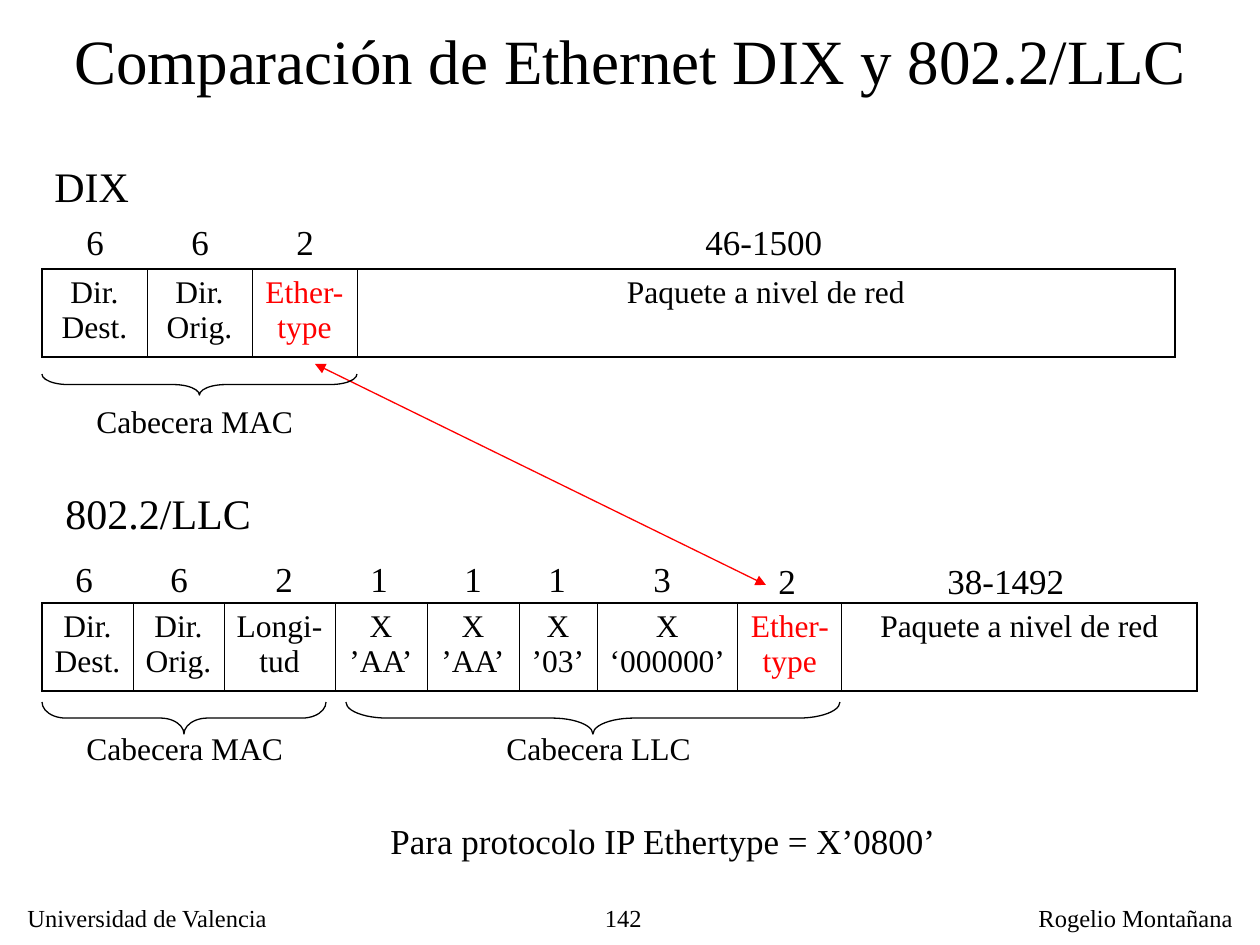
from pptx import Presentation
from pptx.dml.color import RGBColor
from pptx.enum.shapes import MSO_CONNECTOR, MSO_SHAPE
from pptx.enum.text import MSO_ANCHOR, MSO_AUTO_SIZE, PP_ALIGN
from pptx.oxml import parse_xml
from pptx.oxml.ns import nsdecls
from pptx.util import Emu, Pt

BLACK, RED = "000000", "FF0000"
FONT = "Times New Roman"
LEFT, TALL = 42, 88
INSET, EDGE = 12, 13

TITLE = "Comparación de Ethernet DIX y 802.2/LLC"
NET = "Paquete a nivel de red"

TABLES = [
    (603, [("Dir.\nDest.", 91), ("Dir.\nOrig.", 91), ("Longi-tud", 111),
           ("X ’AA’", 92), ("X ’AA’", 92), ("X ’03’", 78),
           ("X ‘000000’", 141), ("Ether-type", 104), (NET, 355)]),
    (269, [("Dir. Dest.", 105), ("Dir. Orig.", 105), ("Ether-type", 105),
           (NET, 818)]),
]
SIZES = [
    (214, [("6", 74), ("6", 179), ("2", 284), ("46-1500", 693)]),
    (551, [("6", 63), ("6", 158), ("2", 263), ("1", 358), ("1", 452),
           ("1", 536), ("3", 641)]),
    (553, [("2", 766), ("38-1492", 935)]),
]
LABELS = [
    ("DIX", 42, 154, 100, 24),
    ("802.2/LLC", 53, 481, 210, 24),
    ("Cabecera MAC", 84, 396, 222, 18),
    ("Cabecera MAC", 74, 723, 222, 18),
    ("Cabecera LLC", 494, 723, 209, 18),
    ("Para protocolo IP Ethertype = X’0800’", 378, 813, 588, 20),
    ("Universidad de Valencia", 15, 897, 268, 14),
    ("Rogelio Montañana", 1026, 897, 219, 14),
]
BRACES = [(42, 374, 315, 21), (42, 702, 284, 32), (346, 702, 494, 32)]
ARROW = (315, 364, 766, 585)


def px(n):
    return Emu(round(n * 914400 / 126))


def rgb(code):
    return RGBColor.from_string(code)


def write(para, text, size, color=BLACK, align=PP_ALIGN.LEFT):
    para.alignment = align
    for i, part in enumerate(text.split("\n")):
        if i:
            para.add_line_break()
        run = para.add_run()
        run.text = part
        run.font.name = FONT
        run.font.size = Pt(size)
        run.font.color.rgb = rgb(color)


def label(text, x, y, w, size, align=PP_ALIGN.LEFT):
    high = round(size * 2.1) + EDGE
    box = slide.shapes.add_textbox(px(x), px(y), px(w), px(high))
    frame = box.text_frame
    frame.word_wrap = align == PP_ALIGN.RIGHT
    if align == PP_ALIGN.LEFT:
        frame.margin_right = 0
    write(frame.paragraphs[0], text, size, align=align)


def border(cell, sides):
    props = cell._tc.get_or_add_tcPr()
    for i, (side, width) in enumerate(sides):
        props.insert(i, parse_xml(
            f'<a:ln{side} {nsdecls("a")} w="{Pt(width)}"><a:solidFill>'
            f'<a:srgbClr val="{BLACK}"/></a:solidFill></a:ln{side}>'))


def grid(y, cols):
    wide = sum(w for _, w in cols)
    table = slide.shapes.add_table(
        1, len(cols), px(LEFT), px(y), px(wide), px(TALL)).table
    table.first_row = table.horz_banding = False
    table.rows[0].height = px(TALL)
    last = len(cols) - 1
    for i, (text, w) in enumerate(cols):
        table.columns[i].width = px(w)
        cell = table.cell(0, i)
        cell.margin_left = cell.margin_right = px(INSET)
        cell.fill.background()
        color = RED if text.startswith("Ether") else BLACK
        write(cell.text_frame.paragraphs[0], text, 18, color, PP_ALIGN.CENTER)
        border(cell, [("L", 1.08 if i == 0 else 0.45),
                      ("R", 1.08 if i == last else 0.45),
                      ("T", 1.08), ("B", 1.08)])


def brace(x, y, w, h):
    shape = slide.shapes.add_shape(
        MSO_SHAPE.LEFT_BRACE, px(x + (w - h) / 2), px(y + (h - w) / 2),
        px(h), px(w))
    shape.rotation = 270
    shape.adjustments[0] = w / 12 / h
    shape.shadow.inherit = False
    shape.fill.background()
    shape.line.color.rgb = rgb(BLACK)
    shape.line.width = Pt(0.75)


def arrow(*ends):
    line = slide.shapes.add_connector(MSO_CONNECTOR.STRAIGHT, *map(px, ends))
    line.line.color.rgb = rgb(RED)
    line.line.width = Pt(0.75)
    for tag in ("headEnd", "tailEnd"):
        line.line._get_or_add_ln().append(
            parse_xml(f'<a:{tag} {nsdecls("a")} type="triangle"/>'))
    line._element.spPr.append(parse_xml(f'<a:effectLst {nsdecls("a")}/>'))


deck = Presentation()
deck.slide_width, deck.slide_height = px(1260), px(945)
slide = deck.slides.add_slide(deck.slide_layouts[5])

title = slide.shapes.title
title.left, title.top, title.width, title.height = map(px, (53, -4, 1155, 126))
title.text_frame.auto_size = MSO_AUTO_SIZE.NONE
title.text_frame.vertical_anchor = MSO_ANCHOR.MIDDLE
write(title.text_frame.paragraphs[0], TITLE, 36, align=PP_ALIGN.CENTER)

for y, cols in TABLES:
    grid(y, cols)
for y, marks in SIZES:
    for text, x in marks:
        label(text, x, y, 25 + 17 * len(text), 20)
for item in LABELS:
    label(*item)
label("142", 520, 897, 134, 14, PP_ALIGN.RIGHT)
arrow(*ARROW)
for spot in BRACES:
    brace(*spot)

deck.save("out.pptx")
